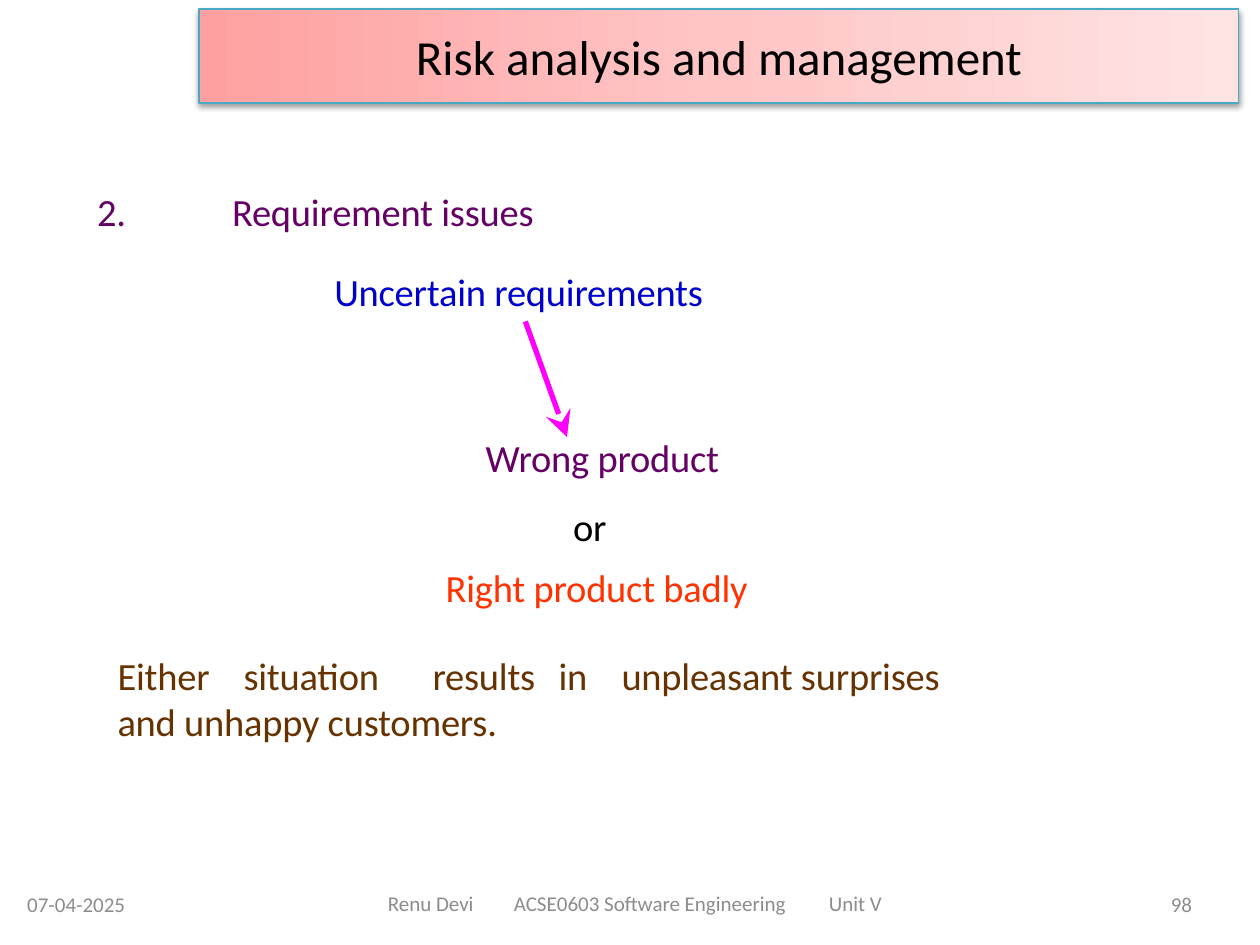
import copy
import lxml.etree as etree
import pptx
import pptx.dml.color
import pptx.enum.shapes
import pptx.enum.text
import pptx.oxml.ns
import pptx.util

Cm = pptx.util.Cm
Pt = pptx.util.Pt
Align = pptx.enum.text.PP_ALIGN
Anchor = pptx.enum.text.MSO_ANCHOR
qn = pptx.oxml.ns.qn


def color(code):
    return pptx.dml.color.RGBColor.from_string(code)


def child(node, tag, **attrs):
    return etree.SubElement(node, qn(tag), {k: str(v) for k, v in attrs.items()})


def write(para, text, size=22, ink="000000", font="Calibri", align=Align.LEFT,
          before=0, left=0, tabs=(), track=0):
    para.alignment = align
    para.space_before = Pt(before)
    props = para._p.get_or_add_pPr()
    props.set("marL", str(Cm(left)))
    props.set("indent", "0")
    if tabs:
        stops = child(props, "a:tabLst")
        for tab in tabs:
            child(stops, "a:tab", pos=Cm(tab), algn="l")
    run = para.add_run()
    run.text = text
    run.font.size = Pt(size)
    run.font.name = font
    run.font.color.rgb = color(ink)
    if track:
        run._r.get_or_add_rPr().set("spc", str(track))


class Deck:
    plum = "650065"
    gray = "8C8C8C"
    pink = "FF00FF"
    fade = ((0, "FFA0A0"), (0.5, "FFC5C5"), (1, "FFE3E3"))

    def __init__(self):
        self.file = pptx.Presentation()
        self.file.slide_width = Cm(25.4)
        self.file.slide_height = Cm(19.05)
        self.slide = self.file.slides.add_slide(self.file.slide_layouts[5])

    def title(self, text, x, y, w, h):
        shape = self.slide.shapes.title
        shape.left, shape.top, shape.width, shape.height = map(Cm, (x, y, w, h))
        fill = shape.fill
        fill.gradient()
        fill.gradient_angle = 0
        stops = shape._element.spPr.find(".//" + qn("a:gsLst"))
        stops.insert(1, copy.deepcopy(stops[0]))
        for stop, (place, code) in zip(fill.gradient_stops, self.fade):
            stop.position = place
            stop.color.rgb = color(code)
        shape.line.color.rgb = color("46AAC5")
        shape.line.width = Pt(0.75)
        glow = child(child(shape._element.spPr, "a:effectLst"), "a:outerShdw",
                     blurRad=Pt(3.1), dist=Pt(1.6), dir=5400000, rotWithShape=0)
        child(child(glow, "a:srgbClr", val="000000"), "a:alpha", val=38000)
        frame = shape.text_frame
        frame.vertical_anchor = Anchor.MIDDLE
        write(frame.paragraphs[0], text, size=28, align=Align.CENTER)

    def text(self, x, y, w, h, lines, pad=(0, 0.03, 0, 0), anchor=Anchor.TOP):
        frame = self.slide.shapes.add_textbox(*map(Cm, (x, y, w, h))).text_frame
        frame.word_wrap = True
        frame.vertical_anchor = anchor
        (frame.margin_left, frame.margin_top,
         frame.margin_right, frame.margin_bottom) = map(Cm, pad)
        for i, (words, style) in enumerate(lines):
            para = frame.add_paragraph() if i else frame.paragraphs[0]
            write(para, words, **style)

    def label(self, x, y, w, words, ink):
        style = dict(ink=ink, before=0.9, left=0.03, track=-10)
        self.text(x, y, w, 0.97, [(words, style)])

    def foot(self, x, y, w, words, inset=0.25, **style):
        self.text(x, y, w, 1.01, [(words, dict(size=12, ink=self.gray, **style))],
                  (inset, 0.13, 0.25, 0.13), Anchor.MIDDLE)

    def arrow(self, x, y, to_x, to_y):
        line = self.slide.shapes.add_connector(
            pptx.enum.shapes.MSO_CONNECTOR.STRAIGHT, *map(Cm, (x, y, to_x, to_y)))
        line.line.color.rgb = color(self.pink)
        line.line.width = Pt(3)
        child(line.line._get_or_add_ln(), "a:tailEnd",
              type="stealth", w="lg", len="lg")
        child(line._element.spPr, "a:effectLst")


def main():
    deck = Deck()
    deck.title("Risk analysis and management", 4.01, 0.18, 20.96, 1.9)
    deck.foot(0.3, 17.73, 5.92, "07-04-2025")
    deck.foot(6.78, 17.7, 14.4, "Renu Devi\tACSE0603 Software Engineering\tUnit V",
              inset=1.04, tabs=(2.79, 10.72))
    deck.foot(18.36, 17.73, 5.92, "98", align=Align.RIGHT)
    deck.label(1.93, 3.76, 0.81, "2.", deck.plum)
    deck.label(4.65, 3.76, 7.77, "Requirement issues", deck.plum)
    deck.arrow(10.59, 6.48, 11.43, 8.81)
    deck.label(6.71, 5.38, 9.37, "Uncertain requirements", "0000CC")

    mid = dict(align=Align.CENTER, track=-10)
    deck.text(2.34, 8.23, 16.84, 6.81, [
        ("Wrong product", dict(mid, ink=deck.plum, before=14.2, left=2.77)),
        ("or", dict(mid, before=13.2, left=2.26)),
        ("Right product badly", dict(mid, ink="FF3200", before=8.4, left=2.54)),
        ("Either\tsituation\tresults\tin\tunpleasant surprises and unhappy customers.",
         dict(ink="653200", before=24, left=0.03, track=-10,
              tabs=(3.3, 7.54, 10.97, 12.6))),
    ], pad=(0, 0.51, 0, 0))
    deck.file.save("out.pptx")


if __name__ == "__main__":
    main()
